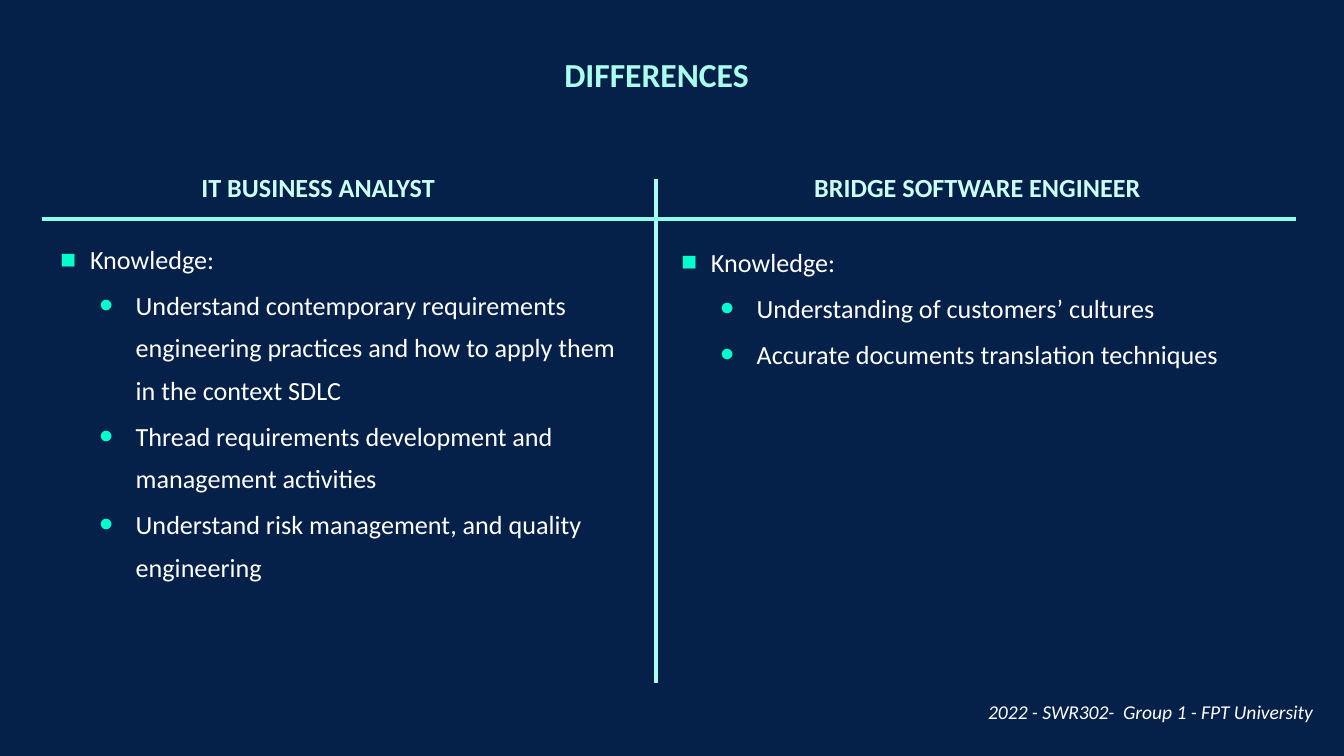
from lxml.etree import SubElement
from pptx import Presentation
from pptx.dml.color import RGBColor
from pptx.enum.shapes import MSO_CONNECTOR
from pptx.enum.text import MSO_ANCHOR, MSO_AUTO_SIZE, PP_ALIGN
from pptx.oxml.ns import qn
from pptx.util import Inches, Pt

COLORS = {
    "background": "05214A",
    "title": "AAFFEE",
    "heading": "CCFFF5",
    "text": "FFFFFF",
    "bullet": "00FFCD",
    "vertical": "AAFFEE",
    "horizontal": "92FCE6",
}
FONT = "Calibri"


def color(name):
    return RGBColor.from_string(COLORS[name])


def format_runs(paragraph, size, color_name, bold=False, italic=False):
    for run in paragraph.runs:
        run.font.name = FONT
        run.font.size = Pt(size)
        run.font.bold = bold
        run.font.italic = italic
        run.font.color.rgb = color(color_name)


def place(shape, left, top, width, height):
    shape.left, shape.top = Inches(left), Inches(top)
    shape.width, shape.height = Inches(width), Inches(height)


def prepare_frame(text_frame, margin):
    """Anchor the text at the top, with equal margins and no autofit."""
    text_frame.word_wrap = True
    text_frame.auto_size = MSO_AUTO_SIZE.NONE
    text_frame.vertical_anchor = MSO_ANCHOR.TOP
    text_frame.margin_left = text_frame.margin_right = Inches(margin)
    text_frame.margin_top = text_frame.margin_bottom = Inches(margin)


def set_bullet(paragraph, character, left, hanging, percent):
    properties = paragraph._p.get_or_add_pPr()
    properties.set("marL", str(Inches(left)))
    properties.set("indent", str(-Inches(hanging)))
    bullet_color = SubElement(properties, qn("a:buClr"))
    SubElement(bullet_color, qn("a:srgbClr"), val=COLORS["bullet"])
    SubElement(properties, qn("a:buSzPct"), val=str(percent * 1000))
    SubElement(properties, qn("a:buFont"), typeface="Arial")
    SubElement(properties, qn("a:buChar"), char=character)


def add_title(title, text, box):
    place(title, *box)
    prepare_frame(title.text_frame, 0.1)
    title.text_frame.text = text
    paragraph = title.text_frame.paragraphs[0]
    paragraph.alignment = PP_ALIGN.CENTER
    format_runs(paragraph, 18, "title", bold=True)


def add_heading(slide, text, box):
    heading = slide.shapes.add_textbox(*map(Inches, box))
    heading.text_frame.word_wrap = False
    heading.text_frame.auto_size = MSO_AUTO_SIZE.SHAPE_TO_FIT_TEXT
    heading.text_frame.text = text
    format_runs(heading.text_frame.paragraphs[0], 14, "heading", bold=True)


def fill_list(body, topic, items, box):
    """Write a topic with its items one level below."""
    place(body, *box)
    text_frame = body.text_frame
    prepare_frame(text_frame, 0.1)
    text_frame.text = "\n".join([topic, *items])
    for index, paragraph in enumerate(text_frame.paragraphs):
        paragraph.alignment = PP_ALIGN.LEFT
        paragraph.line_spacing = 1.35
        if index == 0:
            paragraph.space_before = Pt(0)
            set_bullet(paragraph, "■", 0.26, 0.22, 100)
        else:
            paragraph.level = 1
            paragraph.space_before = Pt(2)
            set_bullet(paragraph, "•", 0.6, 0.27, 150)
        format_runs(paragraph, 14, "text")


def add_rule(slide, start, end, color_name):
    rule = slide.shapes.add_connector(
        MSO_CONNECTOR.STRAIGHT, *map(Inches, (*start, *end)))
    rule.line.color.rgb = color(color_name)
    rule.line.width = Pt(1.75)
    SubElement(rule._element.spPr, qn("a:effectLst"))


def add_footer(slide, text, box):
    footer = slide.shapes.add_textbox(*map(Inches, box))
    footer.text_frame.word_wrap = True
    footer.text_frame.text = text
    paragraph = footer.text_frame.paragraphs[0]
    paragraph.alignment = PP_ALIGN.RIGHT
    paragraph.line_spacing = 1.3
    format_runs(paragraph, 10.5, "text", italic=True)


def build_differences_slide(presentation):
    slide = presentation.slides.add_slide(presentation.slide_layouts[3])
    slide.background.fill.solid()
    slide.background.fill.fore_color.rgb = color("background")

    add_footer(slide, "2022 - SWR302-  Group 1 - FPT University",
               (6.03, 5.11, 3.84, 0.33))
    add_rule(slide, (4.88, 1.33), (4.88, 5.08), "vertical")
    add_rule(slide, (0.31, 1.63), (9.64, 1.63), "horizontal")
    add_title(slide.shapes.title, "DIFFERENCES", (3.62, 0.3, 2.53, 1.03))

    add_heading(slide, "IT BUSINESS ANALYST", (1.4, 1.23, 2.15, 0.34))
    add_heading(slide, "BRIDGE SOFTWARE ENGINEER", (5.96, 1.23, 2.84, 0.34))
    fill_list(slide.placeholders[1], "Knowledge:", [
        "Understand contemporary requirements engineering practices "
        "and how to apply them in the context SDLC",
        "Thread requirements development and management activities",
        "Understand risk management, and quality engineering",
    ], (0.31, 1.63, 4.52, 4.17))
    fill_list(slide.placeholders[2], "Knowledge:", [
        "Understanding of customers’ cultures",
        "Accurate documents translation techniques",
    ], (4.93, 1.65, 4.71, 1.72))


def main():
    presentation = Presentation()
    presentation.slide_width = Inches(10)
    presentation.slide_height = presentation.slide_width * 9 // 16
    build_differences_slide(presentation)
    presentation.save("out.pptx")


if __name__ == "__main__":
    main()
